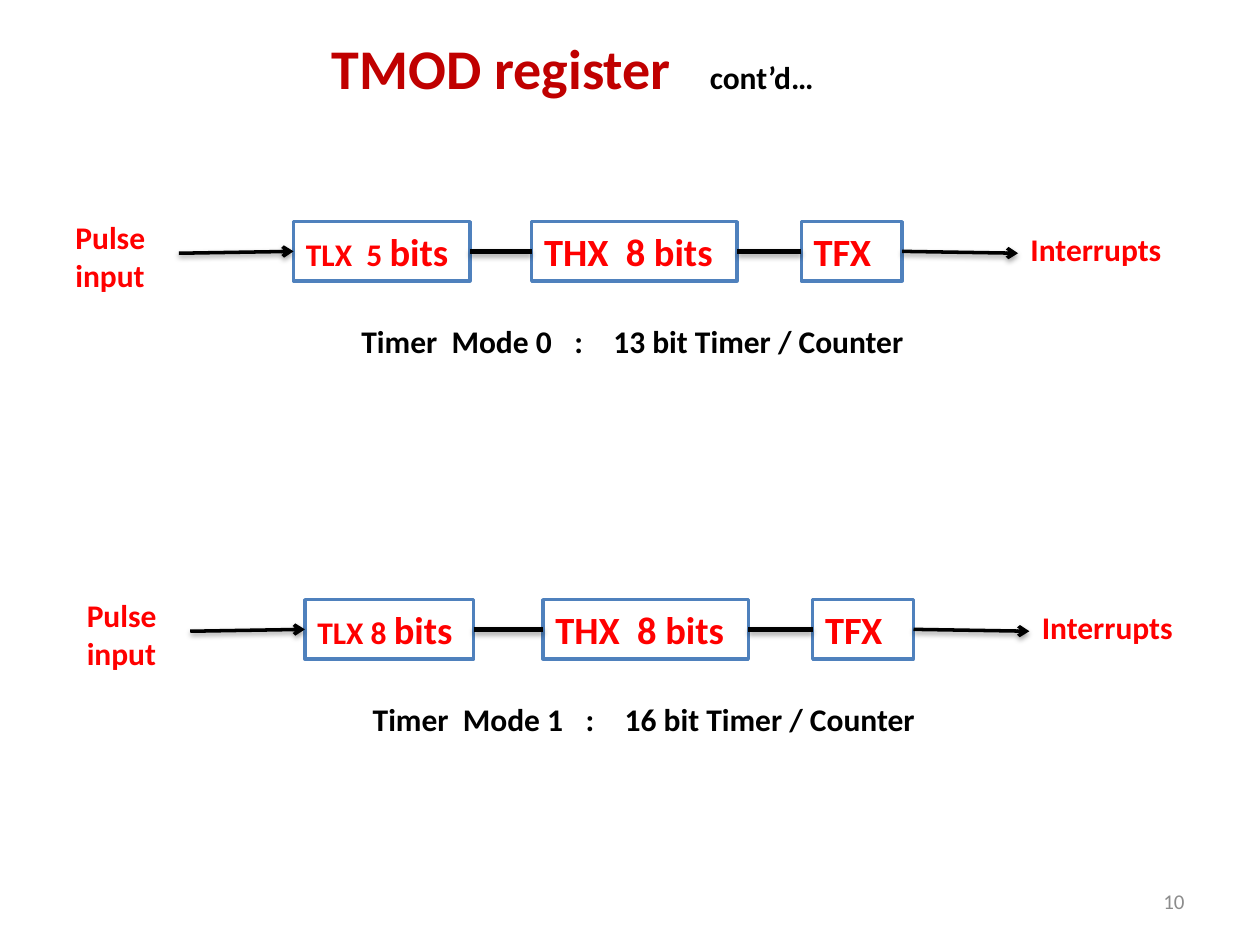
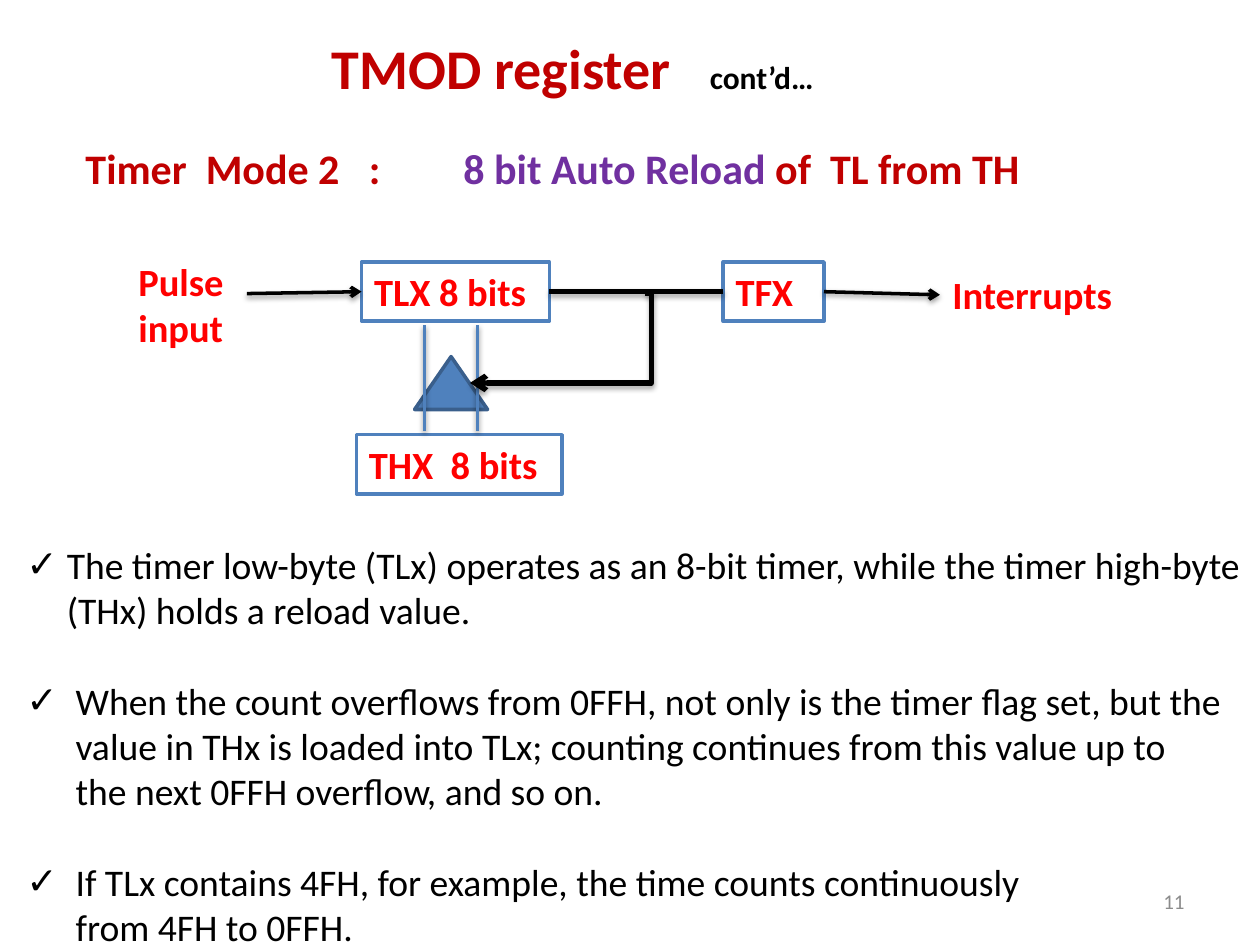
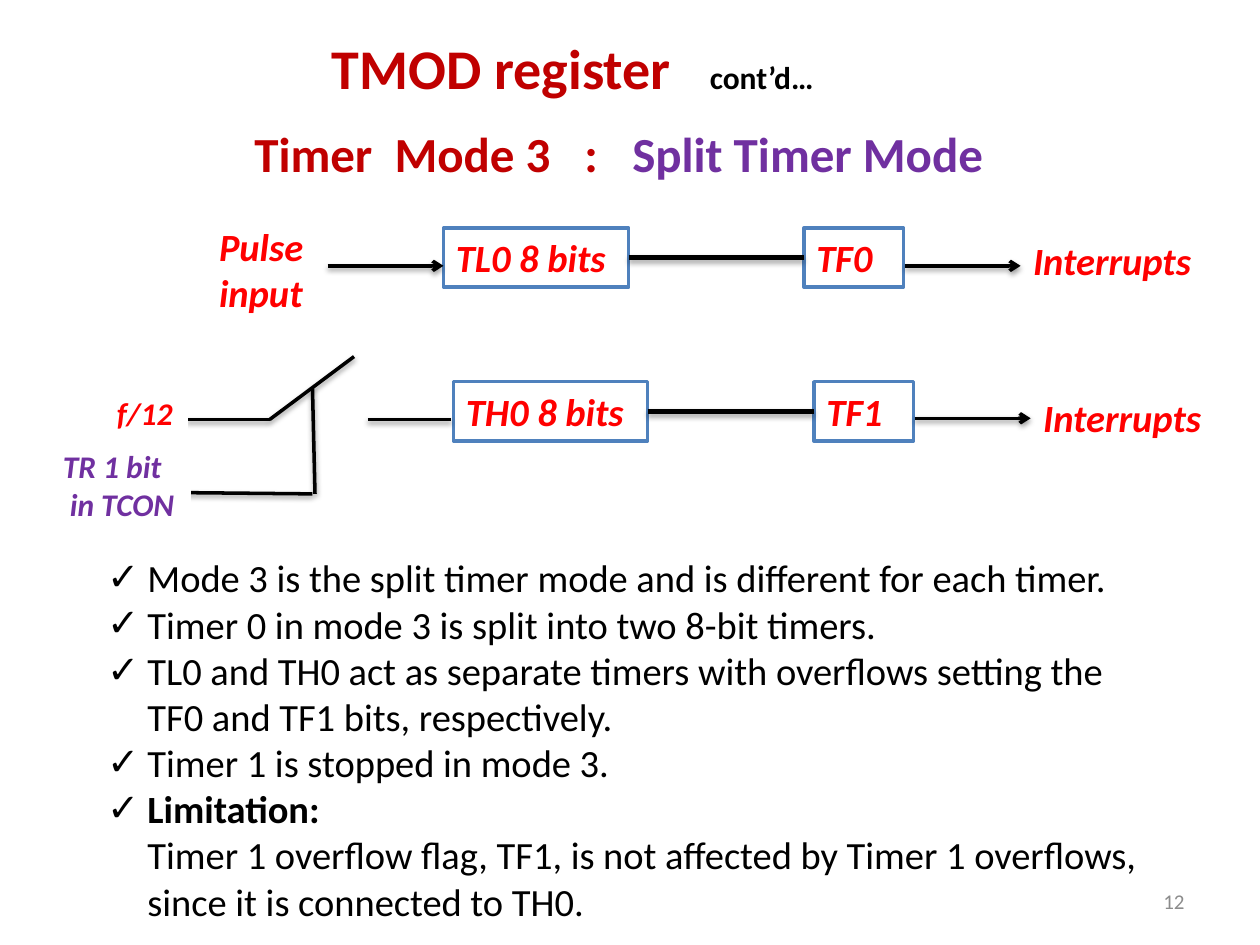
from copy import deepcopy
from dataclasses import dataclass
from typing import NamedTuple, Optional, Sequence, Union

from lxml.etree import SubElement
from pptx import Presentation
from pptx.dml.color import RGBColor
from pptx.enum.shapes import MSO_CONNECTOR as Connector, MSO_SHAPE as Preset
from pptx.enum.text import MSO_ANCHOR as Anchor, MSO_AUTO_SIZE as AutoSize, PP_ALIGN as Align
from pptx.oxml.ns import qn
from pptx.util import Inches, Pt

# Shared style
FONT = "Calibri"
RED, DARK_RED, PURPLE = "FF0000", "C00000", "7030A0"
BLACK, WHITE, GRAY = "000000", "FFFFFF", "8C8C8C"
BLUE, DARK_BLUE = "4F81BD", "3A5F8C"
BOX_HEIGHT = 0.47
TOP, LEFT, BOTTOM, RIGHT = range(4)
TITLE_ONLY, TITLE_AND_BODY = 5, 1
SHADOW_OF_WEIGHT = {2: (38, 1.6), 3: (35, 1.8)}  # opacity %, distance pt


class Run(NamedTuple):
    text: str
    size: float = 22
    color: str = RED
    bold: bool = True
    italic: bool = False


class Joint(NamedTuple):
    shape: object
    side: int


class Point(NamedTuple):
    x: float
    y: float


class Bullet(NamedTuple):
    runs: Sequence[Run]
    indent: float = 0.32
    before: float = 0


@dataclass
class Block:
    left: float
    top: float
    width: float
    height: float
    paragraphs: Sequence[Sequence[Run]]
    edge: Optional[str] = None
    tabs: Sequence[float] = ()


def rgb(color: str) -> RGBColor:
    return RGBColor.from_string(color)


def place(shape, left: float, top: float, width: float, height: float) -> None:
    bounds = dict(left=left, top=top, width=width, height=height)
    for name, value in bounds.items():
        setattr(shape, name, Inches(value))


def write_runs(paragraph, runs: Sequence[Run]) -> None:
    """Write formatted runs; a newline in a run becomes a line break."""
    properties = None
    for item in runs:
        for index, line in enumerate(item.text.split("\n")):
            if index:
                paragraph.add_line_break()
                paragraph._p[-1].append(deepcopy(properties))
            if not line:
                continue
            run = paragraph.add_run()
            run.text = line
            style = dict(name=FONT, size=Pt(item.size), bold=item.bold, italic=item.italic)
            for name, value in style.items():
                setattr(run.font, name, value)
            run.font.color.rgb = rgb(item.color)
            properties = run._r.rPr


def paint(shape, fill: str, edge: str) -> None:
    shape.shadow.inherit = False
    shape.fill.solid()
    shape.fill.fore_color.rgb = rgb(fill)
    shape.line.color.rgb = rgb(edge)
    shape.line.width = Pt(2)


def add_tabs(paragraph, stops: Sequence[float]) -> None:
    tab_list = SubElement(paragraph._p.get_or_add_pPr(), qn("a:tabLst"))
    for stop in stops:
        SubElement(tab_list, qn("a:tab"), pos=str(Inches(stop)), algn="l")


def draw_block(slide, block: Block):
    bounds = [Inches(v) for v in (block.left, block.top, block.width, block.height)]
    if block.edge:
        shape = slide.shapes.add_shape(Preset.RECTANGLE, *bounds)
        paint(shape, WHITE, block.edge)
    else:
        shape = slide.shapes.add_textbox(*bounds)
    frame = shape.text_frame
    settings = dict(word_wrap=False, auto_size=AutoSize.SHAPE_TO_FIT_TEXT, vertical_anchor=Anchor.TOP)
    for name, value in settings.items():
        setattr(frame, name, value)
    for index, runs in enumerate(block.paragraphs):
        paragraph = frame.add_paragraph() if index else frame.paragraphs[0]
        paragraph.alignment = Align.LEFT
        if block.tabs:
            add_tabs(paragraph, block.tabs)
        write_runs(paragraph, runs)
    return shape


def draw_register(slide, text: str, left: float, top: float, width: float, italic: bool = False):
    return draw_block(slide, Block(left, top, width, BOX_HEIGHT, [[Run(text, italic=italic)]], BLUE))


def draw_pulse(slide, left: float, top: float, size: float = 22, italic: bool = False) -> None:
    lines = [[Run(word, size, italic=italic)] for word in ("Pulse", "input")]
    width, height = (0.96, 0.84) if size == 22 else (0.82, 0.71)
    draw_block(slide, Block(left, top, width, height, lines))


def draw_interrupts(slide, left: float, top: float, size: float = 22, italic: bool = False) -> None:
    width, height = (1.48, BOX_HEIGHT) if size == 22 else (1.25, 0.4)
    draw_block(slide, Block(left, top, width, height, [[Run("Interrupts", size, italic=italic)]]))


def draw_wire(slide, start: Union[Point, Joint], end: Union[Point, Joint], weight: int = 2,
              arrow: bool = False, color: str = BLACK, bend: Optional[int] = None):
    """Draw a shadowed wire; bend is the elbow position in 1/1000 percent."""
    kind = Connector.STRAIGHT if bend is None else Connector.ELBOW
    begin, finish = (p if isinstance(p, Point) else Point(0, 0) for p in (start, end))
    wire = slide.shapes.add_connector(kind, *[Inches(v) for v in (*begin, *finish)])
    if isinstance(start, Joint):
        wire.begin_connect(start.shape, start.side)
    if isinstance(end, Joint):
        wire.end_connect(end.shape, end.side)
    wire.line.color.rgb = rgb(color)
    wire.line.width = Pt(weight)
    properties = wire.element.spPr
    if bend is not None:
        guides = properties.find(qn("a:prstGeom")).find(qn("a:avLst"))
        SubElement(guides, qn("a:gd"), name="adj1", fmla=f"val {bend}")
    if arrow:
        SubElement(wire.line._get_or_add_ln(), qn("a:tailEnd"), type="arrow")
    opacity, distance = SHADOW_OF_WEIGHT[weight]
    effects = SubElement(properties, qn("a:effectLst"))
    shadow = SubElement(effects, qn("a:outerShdw"), blurRad=str(Pt(3.1)), dist=str(Pt(distance)),
                        dir="5400000", rotWithShape="0")
    shade = SubElement(shadow, qn("a:srgbClr"), val=BLACK)
    SubElement(shade, qn("a:alpha"), val=str(opacity * 1000))
    return wire


def start_slide(prs, layout: int, number: int):
    """Add a slide with the shared title and page number."""
    slide = prs.slides.add_slide(prs.slide_layouts[layout])
    title = slide.shapes.title
    place(title, 1.17, 0.32, 6.75, 0.55)
    title.text_frame.auto_size = AutoSize.NONE
    title.text_frame.vertical_anchor = Anchor.TOP
    heading = title.text_frame.paragraphs[0]
    heading.alignment = Align.CENTER
    heading.line_spacing = 0.8
    write_runs(heading, [Run("TMOD register\t", 32, DARK_RED), Run("cont’d…", 18, BLACK)])

    page = slide.shapes.add_textbox(*[Inches(v) for v in (7.17, 6.95, 2.33, 0.4)])
    page.text_frame.word_wrap = True
    page.text_frame.vertical_anchor = Anchor.MIDDLE
    page.text_frame.paragraphs[0].alignment = Align.RIGHT
    write_runs(page.text_frame.paragraphs[0], [Run(str(number), 12, GRAY, bold=False)])
    return slide


def fill_body(slide, bounds: Sequence[float], bullets: Sequence[Bullet]) -> None:
    body = slide.placeholders[1]
    place(body, *bounds)
    frame = body.text_frame
    frame.auto_size = AutoSize.NONE
    frame.word_wrap = True
    for index, bullet in enumerate(bullets):
        paragraph = frame.add_paragraph() if index else frame.paragraphs[0]
        properties = paragraph._p.get_or_add_pPr()
        properties.set("marL", str(Inches(bullet.indent)))
        properties.set("indent", str(-Inches(bullet.indent)))
        SubElement(properties, qn("a:buChar"), char="✓")
        paragraph.space_before = Pt(bullet.before)
        write_runs(paragraph, bullet.runs)


def draw_mode_chain(slide, shift: float, top: float, low_bits: str, low_width: float, caption: str) -> None:
    """Pulse input -> TLX -> THX -> TFX -> Interrupts, with a caption below."""
    draw_pulse(slide, 0.5 + shift, top, 18)
    draw_interrupts(slide, 8.08 + shift, top + 0.1, 18)
    box_top = top + 0.08
    low_runs = [Run(low_bits, 18), Run("bits"), Run(" ", 18)]
    low = draw_block(slide, Block(2.33 + shift, box_top, low_width, BOX_HEIGHT, [low_runs], BLUE))
    high = draw_register(slide, "THX  8 bits", 4.22 + shift, box_top, 1.63)
    flag = draw_register(slide, "TFX", 6.36 + shift, box_top, 0.8)
    for source, target in ((low, high), (high, flag)):
        draw_wire(slide, Joint(source, RIGHT), Joint(target, LEFT), weight=3)
    axis = top + 0.33
    draw_wire(slide, Point(1.42 + shift, axis), Joint(low, LEFT), arrow=True)
    draw_wire(slide, Joint(flag, RIGHT), Point(8.08 + shift, axis), arrow=True)
    draw_block(slide, Block(2.77 + shift, top + 0.83, 4.54, 0.4, [[Run(caption, 18, BLACK)]], tabs=(1.69, 2)))


def build_modes_0_and_1(prs) -> None:
    slide = start_slide(prs, TITLE_ONLY, 10)
    draw_mode_chain(slide, 0, 1.68, "TLX  5 ", 1.4, "Timer  Mode 0\t:\t13 bit Timer / Counter")
    draw_mode_chain(slide, 0.09, 4.68, "TLX 8 ", 1.34, "Timer  Mode 1\t:\t16 bit Timer / Counter")


def build_mode_2(prs) -> None:
    slide = start_slide(prs, TITLE_AND_BODY, 11)
    heading = [Run("Timer  Mode 2\t:\t", 24, DARK_RED), Run("8 bit Auto Reload", 24, PURPLE),
               Run(" of  TL from TH", 24, DARK_RED)]
    draw_block(slide, Block(0.58, 1.08, 7.68, 0.5, [heading], tabs=(2.25, 3)))

    # Counting path
    draw_pulse(slide, 1, 2)
    draw_interrupts(slide, 7.46, 2.1)
    low = draw_register(slide, "TLX 8 bits", 2.87, 2.08, 1.49)
    flag = draw_register(slide, "TFX", 5.74, 2.08, 0.8)
    draw_wire(slide, Joint(low, RIGHT), Joint(flag, LEFT), weight=3)
    draw_wire(slide, Point(1.96, 2.33), Joint(low, LEFT), arrow=True)
    draw_wire(slide, Joint(flag, RIGHT), Point(7.46, 2.34), arrow=True)

    # Reload path
    draw_register(slide, "THX  8 bits", 2.83, 3.45, 1.63)
    gate = slide.shapes.add_shape(Preset.ISOSCELES_TRIANGLE, *[Inches(v) for v in (3.29, 2.83, 0.58, 0.42)])
    paint(gate, BLUE, DARK_BLUE)
    for x in (3.37, 3.79):
        draw_wire(slide, Point(x, 2.58), Point(x, 3.42), color=BLUE)
    draw_wire(slide, Point(5.12, 2.33), Point(3.73, 3.04), weight=3, arrow=True, bend=-3500)

    notes = (
        ("The timer low-byte (TLx) operates as an 8-bit timer, while the timer high-byte\n"
         "(THx) holds a reload value.", 0.32, 0),
        ("When the count overflows from 0FFH, not only is the timer flag set, but the\n"
         "value in THx is loaded into TLx; counting continues from this value up to\n"
         "the next 0FFH overflow, and so on.", 0.39, 26),
        ("If TLx contains 4FH, for example, the time counts continuously\n"
         "from 4FH to 0FFH.", 0.39, 26),
    )
    fill_body(slide, (0.11, 4.25, 9.89, 3.25),
              [Bullet([Run(text, 21.5, BLACK, bold=False)], indent, before) for text, indent, before in notes])


def build_mode_3(prs) -> None:
    slide = start_slide(prs, TITLE_AND_BODY, 12)
    heading = [Run("Timer  Mode 3\t:\t", 28, DARK_RED), Run("Split Timer Mode", 28, PURPLE)]
    draw_block(slide, Block(1.92, 0.93, 6.05, 0.57, [heading], tabs=(2.62, 3)))

    # Two split timers
    draw_pulse(slide, 1.64, 1.72, italic=True)
    timers = (("TL0 8 bits", "TF0", 3.52, 1.81, 1.47, 6.38, 2.11, 8.1, 1.83),
              ("TH0 8 bits", "TF1", 3.6, 3.03, 1.54, 6.46, 3.32, 8.18, 3.08))
    for counter_text, flag_text, left, top, width, flag_left, axis, label_left, label_top in timers:
        counter = draw_register(slide, counter_text, left, top, width, italic=True)
        flag = draw_register(slide, flag_text, flag_left, top, 0.79, italic=True)
        draw_wire(slide, Joint(counter, RIGHT), Joint(flag, LEFT), weight=3)
        draw_wire(slide, Point(label_left - 0.92, axis), Point(label_left, axis), arrow=True)
        draw_interrupts(slide, label_left, label_top, italic=True)
    draw_wire(slide, Point(2.6, 2.11), Point(3.52, 2.11), arrow=True)

    # Clock switch controlled by the TR 1 bit
    switch = ((1.48, 3.33, 2.14, 3.33), (2.14, 3.33, 2.81, 2.83), (2.92, 3.33, 3.58, 3.33),
              (2.48, 3.08, 2.5, 3.92), (1.48, 3.91, 2.48, 3.92))
    for x1, y1, x2, y2 in switch:
        draw_wire(slide, Point(x1, y1), Point(x2, y2))
    draw_block(slide, Block(0.83, 3.08, 0.65, 0.4, [[Run("f/12", 18, italic=True)]], WHITE))
    control = [[Run(text, 18, PURPLE, italic=True)] for text in ("TR 1 bit", " in TCON")]
    draw_block(slide, Block(0.4, 3.5, 1.1, 0.71, control, WHITE))

    notes = ("Mode 3 is the split timer mode and is different for each timer.",
             "Timer 0 in mode 3 is split into two 8-bit timers.",
             "TL0 and TH0 act as separate timers with overflows setting the\nTF0 and TF1 bits, respectively.",
             "Timer 1 is stopped in mode 3.")
    limitation = [Run("Limitation:\n", 22, BLACK),
                  Run("Timer 1 overflow flag, TF1, is not affected by Timer 1 overflows,\n"
                      "since it is connected to TH0.", 22, BLACK, bold=False)]
    fill_body(slide, (0.75, 4.35, 8.51, 3.06),
              [*(Bullet([Run(text, 22, BLACK, bold=False)]) for text in notes), Bullet(limitation)])


def main() -> None:
    prs = Presentation()
    prs.slide_width, prs.slide_height = Inches(10), Inches(7.5)
    build_modes_0_and_1(prs)
    build_mode_2(prs)
    build_mode_3(prs)
    prs.save("out.pptx")


if __name__ == "__main__":
    main()
